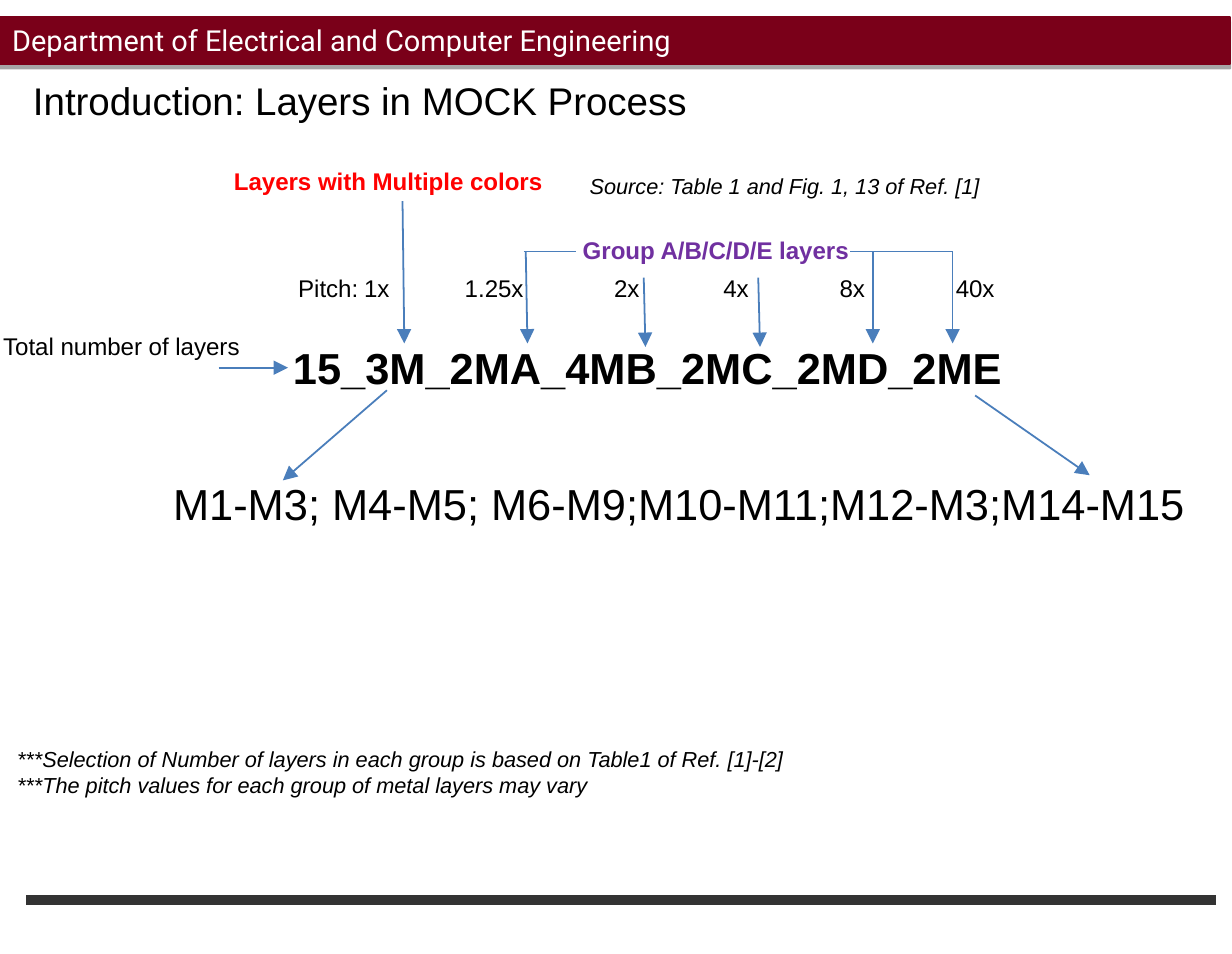
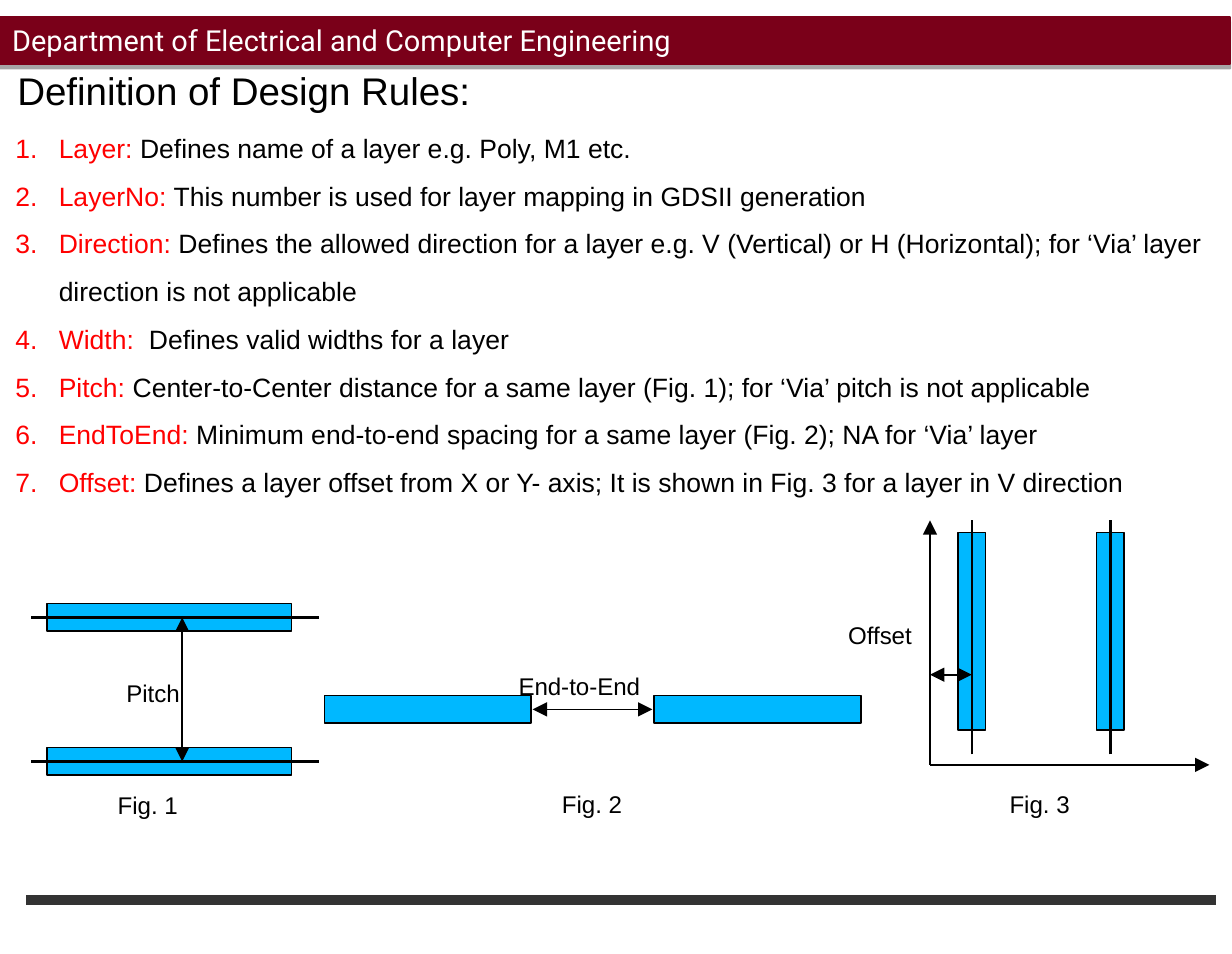
from pptx import Presentation
from pptx.dml.color import RGBColor
from pptx.enum.shapes import MSO_CONNECTOR, MSO_SHAPE
from pptx.enum.text import MSO_ANCHOR, PP_ALIGN
from pptx.oxml.ns import qn
from pptx.util import Inches, Pt
from lxml.etree import SubElement

# Shared look
BLACK, WHITE, RED, PURPLE = "000000", "FFFFFF", "FF0000", "7030A0"
MAROON, GREY, STEEL, CYAN = "7A0019", "333333", "4A7EBB", "00B8FF"
BAND = "Department of Electrical and Computer Engineering"

# Slide 1: text, left, top, width, size, colour, style
LABELS = [
    ("15_3M_2MA_4MB_2MC_2MD_2ME", 1.59, 1.92, 4.6, 18, BLACK, "b"),
    ("M1-M3; M4-M5; M6-M9;M10-M11;M12-M3;M14-M15", 0.9, 2.7, 6.2, 18, BLACK, ""),
    ("Total number of layers", -0.08, 1.86, 1.7, 10, BLACK, ""),
    ("Layers with Multiple colors", 1.25, 0.91, 2.03, 10, RED, "b"),
    ("Group A/B/C/D/E layers", 3.26, 1.31, 1.85, 10, PURPLE, "b"),
    ("Source: Table 1 and Fig. 1, 13 of Ref. [1]", 3.3, 0.95, 2.6, 9, BLACK, "i"),
    ("***Selection of Number of layers in each group is based on Table1 of Ref. [1]-[2]\n"
     "***The pitch values for each group of metal layers may vary",
     0, 4.25, 4.9, 9, BLACK, "i"),
]
PITCHES = [("Pitch:", 1.62), ("1x", 2), ("1.25x", 2.58), ("2x", 3.44),
           ("4x", 4.07), ("8x", 4.74), ("40x", 5.41)]
ARROWS = [
    (1.26, 2.12, 1.66, 2.12), (2.32, 1.16, 2.33, 1.98),
    (3.03, 1.45, 3.04, 1.98), (3.71, 1.6, 3.72, 2),
    (4.37, 1.6, 4.38, 2), (5.03, 1.45, 5.03, 1.98),
    (5.49, 1.45, 5.49, 1.98), (2.23, 2.25, 1.63, 2.77),
    (5.62, 2.28, 6.28, 2.74),
]
BRACKETS = [(3.02, 3.32), (4.9, 5.49)]

# Slide 2
RULES = [
    ("Layer:", " Defines name of a layer e.g. Poly, M1 etc."),
    ("LayerNo:", " This number is used for layer mapping in GDSII generation"),
    ("Direction:", " Defines the allowed direction for a layer e.g. V (Vertical) or H "
     "(Horizontal); for ‘Via’ layer direction is not applicable"),
    ("Width:", "  Defines valid widths for a layer"),
    ("Pitch:", " Center-to-Center distance for a same layer (Fig. 1); "
     "for ‘Via’ pitch is not applicable"),
    ("EndToEnd:", " Minimum end-to-end spacing for a same layer (Fig. 2); NA for ‘Via’ layer"),
    ("Offset:", " Defines a layer offset from X or Y- axis; "
     "It is shown in Fig. 3 for a layer in V direction"),
]
NOTES = [("Pitch", 0.63, 3.86), ("End-to-End", 2.89, 3.82), ("Offset", 4.79, 3.53),
         ("Fig. 1", 0.58, 4.51), ("Fig. 2", 3.14, 4.5), ("Fig. 3", 5.72, 4.5)]
THICK = 0.16
ROWS = [3.56, 4.39]      # centre lines of the bars in Fig. 1
ENDS = [1.87, 3.77]      # left ends of the bars in Fig. 2
COLS = [5.6, 6.4]        # centre lines of the bars in Fig. 3
AXIS = (5.36, 4.41)      # corner of the axes in Fig. 3


def rgb(color):
    return RGBColor.from_string(color)


def style(par, size, color=BLACK, face="Arial", look=""):
    font = par.font
    font.size, font.name = Pt(size), face
    font.bold, font.italic = "b" in look, "i" in look
    font.color.rgb = rgb(color)


def label(slide, text, x, y, w, size=10, color=BLACK, look=""):
    box = slide.shapes.add_textbox(Inches(x), Inches(y), Inches(w), Inches(0.27))
    frame = box.text_frame
    frame.word_wrap = True
    frame.text = text
    for par in frame.paragraphs:
        style(par, size, color, look=look)


def line(slide, x1, y1, x2, y2, color=BLACK, width=0.75, ends=()):
    link = slide.shapes.add_connector(
        MSO_CONNECTOR.STRAIGHT, Inches(x1), Inches(y1), Inches(x2), Inches(y2))
    link.line.color.rgb = rgb(color)
    link.line.width = Pt(width)
    props = link.element.spPr
    for end in ends:
        SubElement(props.get_or_add_ln(), qn(f"a:{end}End"), type="triangle")
    SubElement(props, qn("a:effectLst"))


def rect(slide, x, y, w, h, fill, edge):
    box = slide.shapes.add_shape(
        MSO_SHAPE.RECTANGLE, Inches(x), Inches(y), Inches(w), Inches(h))
    box.shadow.inherit = False
    box.fill.solid()
    box.fill.fore_color.rgb = rgb(fill)
    box.line.color.rgb = rgb(edge)
    box.line.width = Pt(0.75)
    return box


def band(slide):
    box = rect(slide, 0, 0.1, 7.09, 0.27, MAROON, MAROON)
    glow = SubElement(box.element.spPr.find(qn("a:effectLst")), qn("a:outerShdw"),
                      dist=str(Pt(1.8)), dir="5400000", rotWithShape="0")
    tint = SubElement(glow, qn("a:srgbClr"), val=BLACK)
    SubElement(tint, qn("a:alpha"), val="35000")
    frame = box.text_frame
    frame.vertical_anchor = MSO_ANCHOR.BOTTOM
    frame.margin_left = frame.margin_right = Inches(0.07)
    frame.margin_top = frame.margin_bottom = Inches(0.04)
    frame.text = BAND
    par = frame.paragraphs[0]
    par.alignment = PP_ALIGN.LEFT
    style(par, 12, WHITE, "Roboto")


def start(deck, text, x, y):
    """Add a slide with its footer rule, band and title."""
    slide = deck.slides.add_slide(deck.slide_layouts[5])
    line(slide, 0.15, 5.19, 7.01, 5.19, GREY, 4)
    band(slide)
    title = slide.shapes.title
    title.left, title.top = Inches(x), Inches(y)
    title.width, title.height = Inches(5), Inches(0.4)
    frame = title.text_frame
    frame.margin_left = frame.margin_right = 0
    frame.margin_top = frame.margin_bottom = 0
    frame.vertical_anchor = MSO_ANCHOR.MIDDLE
    frame.text = text
    par = frame.paragraphs[0]
    par.alignment = PP_ALIGN.LEFT
    style(par, 16)
    return slide


def rules(slide):
    box = slide.shapes.add_textbox(Inches(-0.01), Inches(0.62), Inches(7.11), Inches(3.04))
    frame = box.text_frame
    frame.word_wrap = True
    for i, rule in enumerate(RULES):
        par = frame.add_paragraph() if i else frame.paragraphs[0]
        # Red automatic number with a hanging indent
        props = par._p.get_or_add_pPr()
        props.set("marL", str(Inches(0.25)))
        props.set("indent", str(-Inches(0.25)))
        SubElement(SubElement(props, qn("a:buClr")), qn("a:srgbClr"), val=RED)
        SubElement(props, qn("a:buFont"), typeface="Arial")
        SubElement(props, qn("a:buAutoNum"), type="arabicPeriod")
        par.line_spacing = 1.5
        style(par, 11)
        for text, color in zip(rule, (RED, BLACK)):
            run = par.add_run()
            run.text = text
            run.font.color.rgb = rgb(color)


def layers(deck):
    slide = start(deck, "Introduction: Layers in MOCK Process", 0.19, 0.38)
    for item in LABELS:
        label(slide, *item)
    for text, x in PITCHES:
        label(slide, text, x, 1.53, 0.65)
    for ends in ARROWS:
        line(slide, *ends, STEEL, ends=["tail"])
    for x1, x2 in BRACKETS:
        line(slide, x1, 1.45, x2, 1.45, STEEL)


def design(deck):
    slide = start(deck, "Definition of Design Rules:", 0.1, 0.32)
    rules(slide)
    both = ("head", "tail")
    # Fig. 1: pitch
    for y in ROWS:
        rect(slide, 0.27, y - THICK / 2, 1.41, THICK, CYAN, BLACK)
        line(slide, 0.18, y, 1.84, y, width=1)
    line(slide, 1.05, ROWS[0], 1.05, ROWS[1], ends=both)
    # Fig. 2: end to end
    for x in ENDS:
        rect(slide, x, 4.01, 1.19, THICK, CYAN, BLACK)
    line(slide, 3.07, 4.09, 3.76, 4.09, ends=both)
    # Fig. 3: offset from the axis
    for x in COLS:
        rect(slide, x - THICK / 2, 3.07, THICK, 1.14, CYAN, BLACK)
        line(slide, x, 4.35, x, 3, width=1)
    for x, y in ((AXIS[0], 3), (6.97, AXIS[1])):
        line(slide, *AXIS, x, y, ends=["tail"])
    line(slide, AXIS[0], 3.89, COLS[0], 3.89, ends=both)
    for text, x, y in NOTES:
        label(slide, text, x, y, 1)


def main():
    deck = Presentation()
    deck.slide_width, deck.slide_height = Inches(7.1), Inches(5.5)
    layers(deck)
    design(deck)
    deck.save("out.pptx")


if __name__ == "__main__":
    main()
